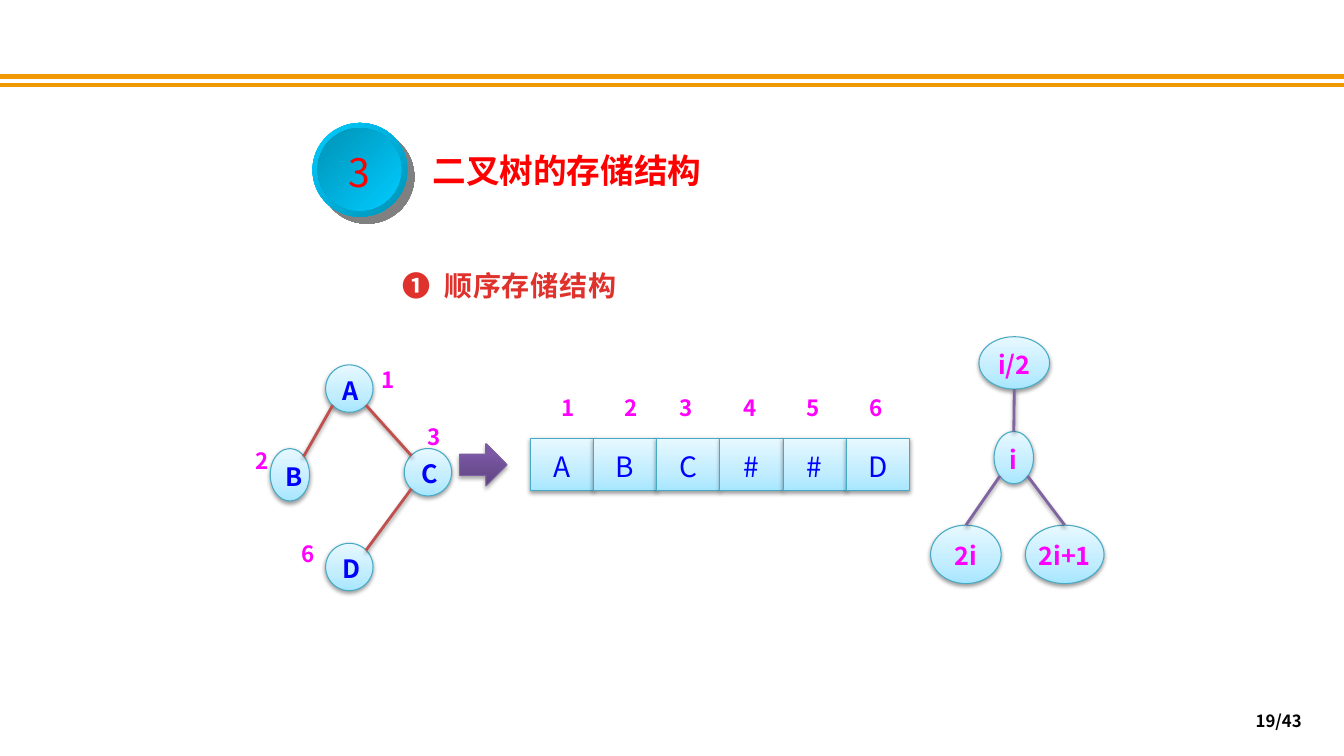
from lxml import etree
from pptx import Presentation
from pptx import util as u
from pptx.dml.color import RGBColor
from pptx.enum import shapes, text
from pptx.oxml import parse_xml
from pptx.oxml.ns import nsdecls, qn

FONT = "Noto Sans CJK SC"
RED, BLUE, MAGENTA = "FF0000", "0000FF", "FF00FF"
LEFT, CENTER, RIGHT = text.PP_ALIGN.LEFT, text.PP_ALIGN.CENTER, text.PP_ALIGN.RIGHT
ICE = [(0, "A7E6FF"), (35, "C1EDFF"), (100, "E7F8FF")]
PURPLE = [(0, "5F4480"), (80, "7B58A6"), (100, "7C57A8")]
SOFT_SHADOW = ("000000", 38, 3.1, 1.6, 90)


def decorate(shape, line=None, width=0.75, stops=None, angle=270, shadow=None):
    """Set outline, gradient (percent, colour) and shadow (colour, alpha, blur, distance, angle)."""
    if line:
        shape.line.color.rgb = RGBColor.from_string(line)
        shape.line.width = u.Pt(width)
    else:
        shape.line.fill.background()
    properties = shape._element.spPr
    if stops:
        marks = "".join(f'<a:gs pos="{at * 1000}"><a:srgbClr val="{color}"/></a:gs>'
                        for at, color in stops)
        properties.find(qn("a:prstGeom")).addnext(parse_xml(
            f'<a:gradFill {nsdecls("a")} rotWithShape="1"><a:gsLst>{marks}</a:gsLst>'
            f'<a:lin ang="{angle * 60000}" scaled="0"/></a:gradFill>'))
    effects = etree.SubElement(properties, qn("a:effectLst"))
    if shadow:
        color, alpha, blur, distance, direction = shadow
        effects.append(parse_xml(
            f'<a:outerShdw {nsdecls("a")} blurRad="{u.Pt(blur)}" dist="{u.Pt(distance)}" '
            f'dir="{direction * 60000}" algn="ctr" rotWithShape="0"><a:srgbClr val="{color}">'
            f'<a:alpha val="{alpha * 1000}"/></a:srgbClr></a:outerShdw>'))


def write(shape, words, size, color, bold=False, align=LEFT, spacing=1.1,
          anchor=text.MSO_ANCHOR.TOP, inset=0.1, wrap=True):
    frame = shape.text_frame
    frame.text = words
    frame.word_wrap = wrap
    frame.auto_size = text.MSO_AUTO_SIZE.NONE
    frame.vertical_anchor = anchor
    frame.margin_left = frame.margin_right = u.Inches(inset)
    paragraph = frame.paragraphs[0]
    paragraph.alignment = align
    paragraph.line_spacing = spacing
    run = paragraph.runs[0]
    run.font.size = u.Pt(size)
    run.font.bold = bold
    run.font.color.rgb = RGBColor.from_string(color)
    run.font.name = FONT
    etree.SubElement(run._r.rPr, qn("a:ea")).set("typeface", FONT)
    return run


presentation = Presentation()
presentation.slide_width = u.Inches(13.33)
presentation.slide_height = u.Inches(7.5)
slide = presentation.slides.add_slide(presentation.slide_layouts[5])
items = slide.shapes
MIDDLE = text.MSO_ANCHOR.MIDDLE
OVAL = shapes.MSO_SHAPE.OVAL
STRAIGHT = shapes.MSO_CONNECTOR.STRAIGHT

# Header rules
for y in (0.76, 0.84):
    rule = items.add_connector(STRAIGHT, 0, u.Inches(y), presentation.slide_width, u.Inches(y))
    decorate(rule, "F19903", 3)

# Section number and title
rim = items.add_shape(OVAL, *map(u.Inches, (3.1, 1.22, 0.94, 0.93)))
decorate(rim, stops=[(0, "00CCFF"), (100, "0092B6")], angle=45,
         shadow=("020202", 50, 0, 7.1, 45))
badge = items.add_shape(OVAL, *map(u.Inches, (3.15, 1.27, 0.83, 0.82)))
decorate(badge, stops=[(0, "0092B6"), (100, "00CCFF")], angle=45)
write(badge, "3", 28, RED, align=CENTER, anchor=MIDDLE, wrap=False)

title = items.title
title.left, title.top, title.width, title.height = map(u.Inches, (4.19, 1.4, 4.06, 0.54))
write(title, "二叉树的存储结构", 24, RED, bold=True)

subtitle = items.add_textbox(*map(u.Inches, (3.89, 2.58, 3.44, 0.47)))
run = write(subtitle, "❶\t顺序存储结构", 20, "E0322D", bold=True)
run._r.rPr.set("spc", "50")
subtitle.text_frame.paragraphs[0]._p.pPr.append(parse_xml(
    f'<a:tabLst {nsdecls("a")}><a:tab pos="{u.Inches(0.42)}" algn="l"/></a:tabLst>'))

# Trees: nodes are left, top, width, height
letter_nodes = {
    "B": (2.68, 4.45, 0.39, 0.52),
    "A": (3.23, 3.62, 0.47, 0.47),
    "C": (4.01, 4.45, 0.47, 0.47),
    "D": (3.23, 5.39, 0.47, 0.47),
}
index_nodes = {
    "i": (9.86, 4.28, 0.39, 0.52),
    "2i": (9.23, 5.21, 0.7, 0.58),
    "2i+1": (10.17, 5.21, 0.78, 0.58),
    "i/2": (9.71, 3.34, 0.7, 0.52),
}
# Edge ends as fractions of a node's width and height
TOP, BOTTOM = (0.5, 0), (0.5, 1)
TOP_LEFT, TOP_RIGHT = (0.15, 0.15), (0.85, 0.15)
BOTTOM_LEFT, BOTTOM_RIGHT = (0.15, 0.85), (0.85, 0.85)
letter_edges = [("A", BOTTOM_LEFT, "B", TOP_RIGHT), ("A", BOTTOM_RIGHT, "C", TOP_LEFT),
                ("C", BOTTOM_LEFT, "D", TOP_RIGHT)]
index_edges = [("i/2", BOTTOM, "i", TOP), ("i", BOTTOM_LEFT, "2i", TOP),
               ("i", BOTTOM_RIGHT, "2i+1", TOP)]

for nodes, edges, text_color, edge_color in (
        (letter_nodes, letter_edges, BLUE, "C0504D"),
        (index_nodes, index_edges, MAGENTA, "8064A2")):
    for label, box in nodes.items():
        node = items.add_shape(OVAL, *map(u.Inches, box))
        decorate(node, "46AAC5", stops=ICE, shadow=SOFT_SHADOW)
        write(node, label, 18, text_color, bold=True, align=CENTER, anchor=MIDDLE,
              inset=0.1 if len(label) == 1 else 0)
    for parent, start, child, end in edges:
        points = []
        for name, (across, down) in ((parent, start), (child, end)):
            left, top, width, height = nodes[name]
            points += [left + width * across, top + height * down]
        edge = items.add_connector(STRAIGHT, *map(u.Inches, points))
        decorate(edge, edge_color, 2, shadow=SOFT_SHADOW)

# Sequential storage array
numbers = [("1", 3.78, 3.62), ("2", 2.53, 4.42), ("3", 4.24, 4.19), ("6", 2.99, 5.35)]
CELL_WIDTH = 3.76 / 6
for position, content in enumerate("ABC##D"):
    left = 5.26 + position * CELL_WIDTH
    cell = items.add_shape(shapes.MSO_SHAPE.RECTANGLE,
                           *map(u.Inches, (left, 4.35, CELL_WIDTH, 0.52)))
    decorate(cell, "46AAC5", stops=ICE, shadow=SOFT_SHADOW)
    write(cell, content, 20, BLUE, align=CENTER, anchor=MIDDLE)
    numbers.append((str(position + 1), left + (0.31 if position < 2 else 0.23), 3.9))

for number, left, top in numbers:
    tag = items.add_textbox(*map(u.Inches, (left, top, 0.23, 0.28)))
    write(tag, number, 16, MAGENTA, bold=True, spacing=u.Pt(20), inset=0)
    tag.text_frame.margin_top = tag.text_frame.margin_bottom = 0

arrow = items.add_shape(shapes.MSO_SHAPE.RIGHT_ARROW, *map(u.Inches, (4.56, 4.4, 0.47, 0.42)))
decorate(arrow, "7D60A0", stops=PURPLE, shadow=("000000", 35, 3.1, 1.8, 90))

page = items.add_textbox(*map(u.Inches, (9.9, 6.95, 3.11, 0.4)))
write(page, "19/43", 12, "000000", bold=True, align=RIGHT, spacing=1.0, anchor=MIDDLE)

presentation.save("out.pptx")
